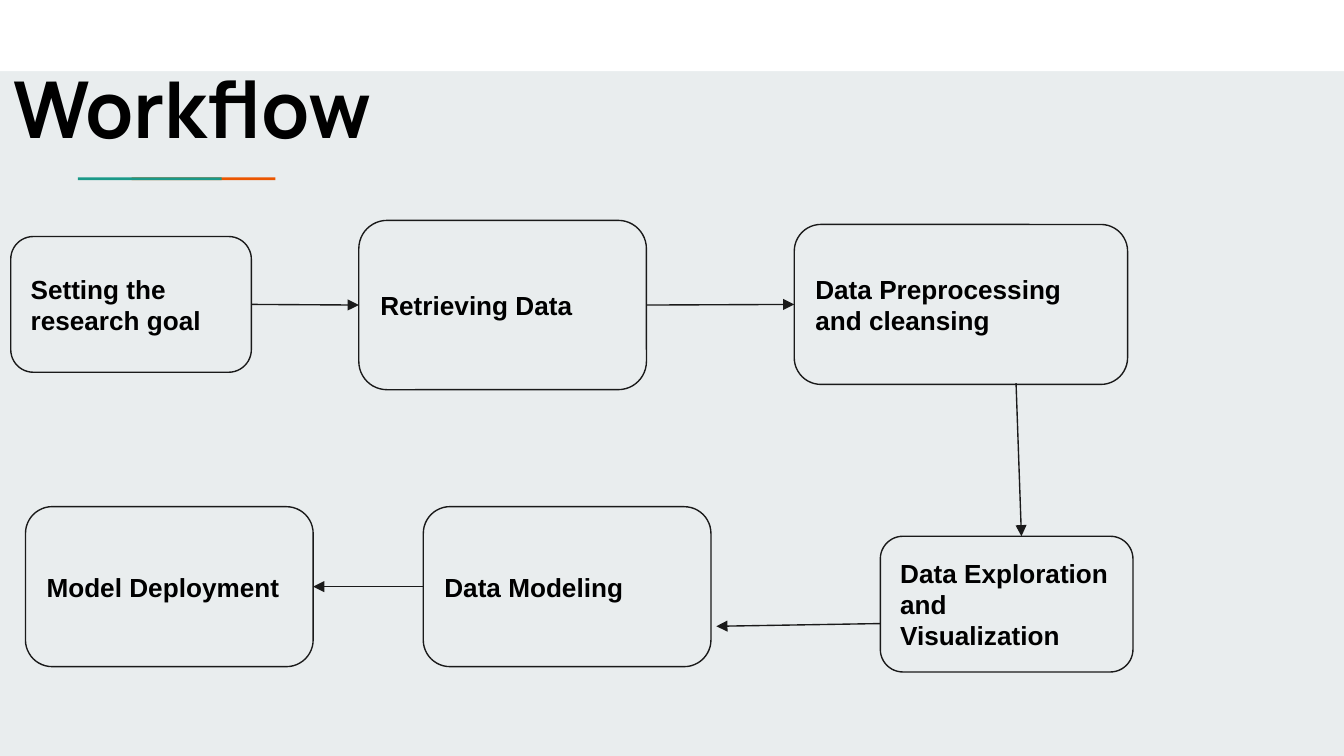
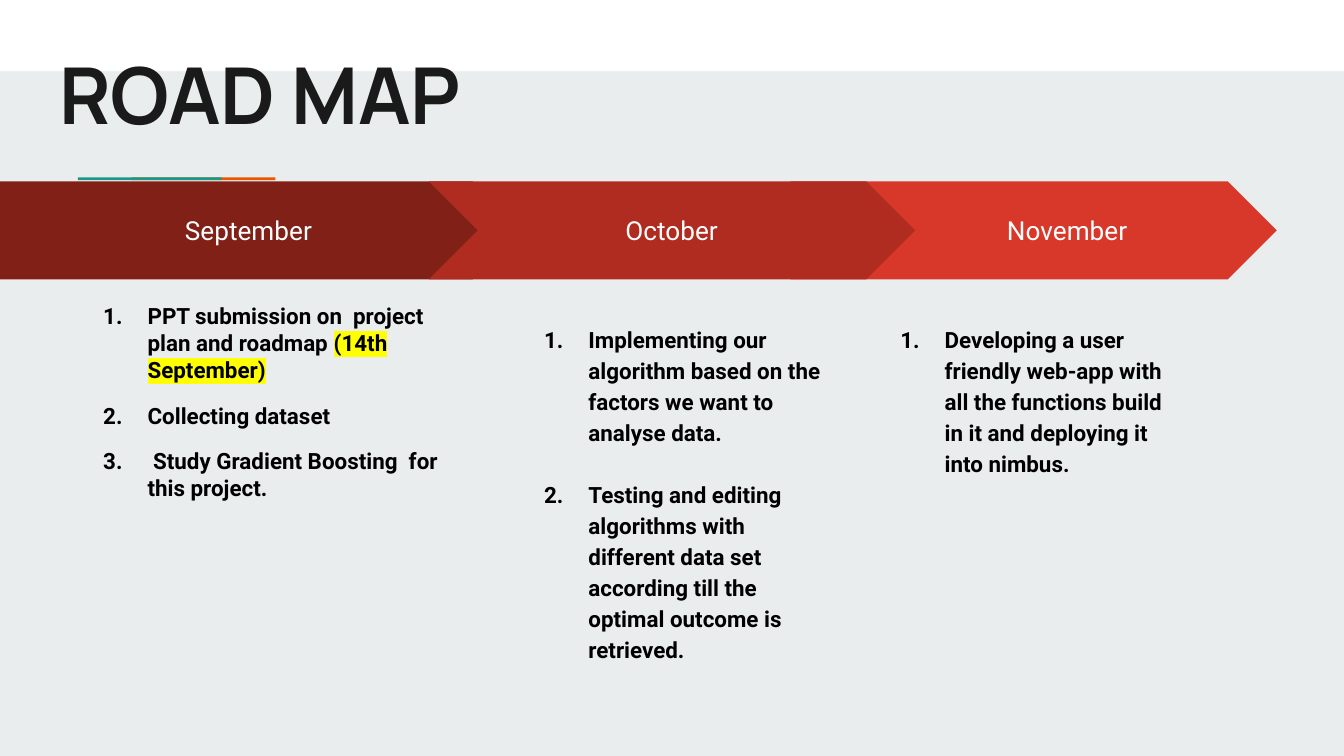
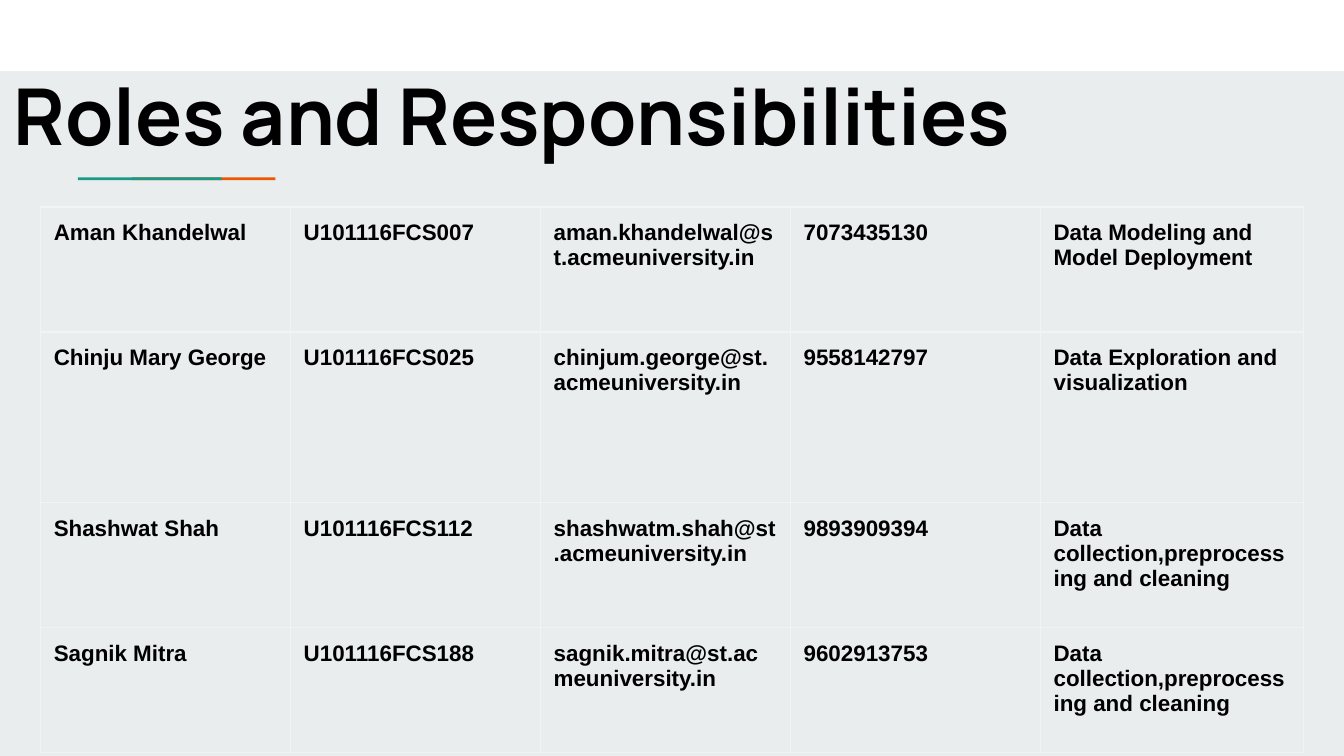
from lxml import etree
from pptx import Presentation
from pptx import util as u
from pptx.dml.color import RGBColor
from pptx.enum import shapes, text
from pptx.oxml.ns import qn

PX = u.Inches(1) // 100  # 100 px to the inch
BLACK = RGBColor(0x00, 0x00, 0x00)
INK = RGBColor(0x1A, 0x1A, 0x1A)
WHITE = RGBColor(0xFF, 0xFF, 0xFF)
MIST = RGBColor(0xE9, 0xED, 0xEE)
EDGE = RGBColor(0xF3, 0xF3, 0xF3)
TEAL = RGBColor(0x1A, 0x99, 0x88)
ORANGE = RGBColor(0xEB, 0x56, 0x00)
MAROON = RGBColor(0x80, 0x20, 0x17)
BRICK = RGBColor(0xB0, 0x2C, 0x20)
RED = RGBColor(0xD8, 0x38, 0x29)
YELLOW = RGBColor(0xFF, 0xFF, 0x00)
KIND = shapes.MSO_SHAPE


def write(para, words, size, font, color=BLACK, bold=True):
    run = para.add_run()
    run.text = words
    run.font.size = u.Pt(size)
    run.font.name = font
    run.font.bold = bold
    run.font.color.rgb = color
    return run


def draw(slide, kind, box, fill, line=None):
    shape = slide.shapes.add_shape(kind, *[n * PX for n in box])
    shape.shadow.inherit = False
    shape.fill.solid()
    shape.fill.fore_color.rgb = fill
    if line:
        shape.line.color.rgb = line
        shape.line.width = u.Pt(0.75)
    else:
        shape.line.fill.background()
    frame = shape.text_frame
    frame.margin_top = frame.margin_bottom = 10 * PX
    frame.vertical_anchor = text.MSO_ANCHOR.MIDDLE
    frame.paragraphs[0].alignment = text.PP_ALIGN.LEFT
    return shape


deck = Presentation()
deck.slide_width = 1000 * PX
deck.slide_height = deck.slide_width * 9 // 16
layout = deck.slide_layouts[5]

# Slides and their titles
titles = [
    ("Workflow", (0, 35, 408, 93), BLACK),
    ("ROAD MAP", (34, 24, 939, 111), INK),
    ("Roles and Responsibilities", (0, 40, 902, 147), BLACK),
]
for words, box, color in titles:
    title = deck.slides.add_slide(layout).shapes.title
    title.left, title.top, title.width, title.height = [n * PX for n in box]
    frame = title.text_frame
    frame.margin_top = frame.margin_bottom = 10 * PX
    frame.vertical_anchor = text.MSO_ANCHOR.TOP
    frame.auto_size = text.MSO_AUTO_SIZE.NONE
    frame.paragraphs[0].alignment = text.PP_ALIGN.LEFT
    write(frame.paragraphs[0], words, 42, "Manrope", color)
flow, road, roles = deck.slides

# Shared background, top band and accent rule, kept on the layout
fill = deck.slide_master.background.fill
fill.solid()
fill.fore_color.rgb = MIST
for holder in list(layout.placeholders)[1:]:
    holder.element.getparent().remove(holder.element)
for box, color in [
    ((0, 0, 1000, 53), WHITE),
    ((98, 132, 107, 2), ORANGE),
    ((58, 132, 107, 2), TEAL),
]:
    band = draw(flow, KIND.RECTANGLE, box, color)
    layout.element.cSld.spTree.append(band.element)

# Workflow: steps
ALT = KIND.FLOWCHART_ALTERNATE_PROCESS
steps = [
    ("goal", "Setting the research goal", ALT, (8, 176, 179, 101)),
    ("fetch", "Retrieving Data", ALT, (267, 164, 214, 126)),
    ("explore", "Data Exploration and Visualization", ALT, (655, 399, 188, 101)),
    ("model", "Data Modeling", ALT, (315, 377, 214, 119)),
    ("deploy", "Model Deployment", ALT, (19, 377, 214, 119)),
    ("clean", "Data Preprocessing and cleansing", KIND.ROUNDED_RECTANGLE,
     (591, 167, 248, 119)),
]
nodes = {}
for key, words, kind, box in steps:
    nodes[key] = draw(flow, kind, box, MIST, INK)
    write(nodes[key].text_frame.paragraphs[0], words, 14, "Arial")

# Workflow: arrows, joined where they end at the middle of a side
arrows = [
    ((481, 227, 591, 226), ("fetch", 3), ("clean", 1)),
    ((187, 226, 267, 227), ("goal", 3), ("fetch", 1)),
    ((655, 464, 533, 466), None, None),
    ((315, 437, 233, 437), ("model", 1), ("deploy", 3)),
    ((756, 285, 760, 399), None, None),
]
for ends, start, stop in arrows:
    arrow = flow.shapes.add_connector(
        shapes.MSO_CONNECTOR.STRAIGHT, *[n * PX for n in ends])
    if start:
        arrow.begin_connect(nodes[start[0]], start[1])
        arrow.end_connect(nodes[stop[0]], stop[1])
    arrow.line.color.rgb = INK
    arrow.line.width = u.Pt(0.75)
    props = arrow.element.spPr
    etree.SubElement(props.find(qn("a:ln")), qn("a:tailEnd"), type="triangle")
    etree.SubElement(props, qn("a:effectLst"))

# Road map: month, shape, left, width, colour, alignment, margin, indent
LEFT, MID = text.PP_ALIGN.LEFT, text.PP_ALIGN.CENTER
months = [
    ("November", KIND.CHEVRON, 588, 362, RED, MID, 50, 0),
    ("September", KIND.PENTAGON, 0, 388, MAROON, MID, 0, 0),
    ("October", KIND.CHEVRON, 319, 362, BRICK, LEFT, 50, 50),
]
for words, kind, left, width, color, align, margin, indent in months:
    month = draw(road, kind, (left, 135, width, 73), color)
    para = month.text_frame.paragraphs[0]
    para.alignment = align
    props = para._p.get_or_add_pPr()
    props.set("marL", str(margin * PX))
    props.set("indent", str(indent * PX))
    write(para, words, 14, "Roboto", WHITE, False)

# Road map: numbered tasks with box, line spacing and gap in points
tasks = [
    ((643, 230, 245, 286), 1.15, 0, [
        ["Developing a user friendly web-app with all the functions build in it "
         "and deploying it into nimbus."]]),
    ((50, 215, 293, 347), 1.0, 10, [
        ["PPT submission on  project plan and roadmap ", "(14th September)"],
        ["Collecting dataset"],
        [" Study Gradient Boosting  for this project."]]),
    ((378, 230, 245, 286), 1.15, 16.6, [
        ["Implementing our algorithm based on the factors we want to analyse data."],
        ["Testing and editing algorithms with different data set according till "
         "the optimal outcome is retrieved."]]),
]
for box, pitch, gap, items in tasks:
    frame = road.shapes.add_textbox(*[n * PX for n in box]).text_frame
    frame.word_wrap = True
    frame.margin_top = frame.margin_bottom = 10 * PX
    for i, parts in enumerate(items):
        para = frame.add_paragraph() if i else frame.paragraphs[0]
        para.line_spacing = pitch
        para.space_before = u.Pt(gap if i else 0)
        props = para._p.get_or_add_pPr()
        props.set("marL", str(50 * PX))
        props.set("indent", str(-33 * PX))
        tint = etree.SubElement(props, qn("a:buClr"))
        etree.SubElement(tint, qn("a:srgbClr"), val=str(BLACK))
        etree.SubElement(props, qn("a:buFont"), typeface="Roboto")
        etree.SubElement(props, qn("a:buAutoNum"), type="arabicPeriod")
        for j, words in enumerate(parts):
            run = write(para, words, 12, "Roboto")
            if j:  # the due date is highlighted
                mark = etree.Element(qn("a:highlight"))
                etree.SubElement(mark, qn("a:srgbClr"), val=str(YELLOW))
                run.font._element.find(qn("a:solidFill")).addnext(mark)

# Roles: table of people
HOST = "@st.acmeuniversity.in"
people = [
    ("Aman Khandelwal", "U101116FCS007", "aman.khandelwal" + HOST,
     "7073435130", "Data Modeling and Model Deployment"),
    ("Chinju Mary George", "U101116FCS025", "chinjum.george" + HOST,
     "9558142797", "Data Exploration and visualization"),
    ("Shashwat Shah", "U101116FCS112", "shashwatm.shah" + HOST,
     "9893909394", "Data collection,preprocessing and cleaning"),
    ("Sagnik Mitra", "U101116FCS188", "sagnik.mitra" + HOST,
     "9602913753", "Data collection,preprocessing and cleaning"),
]
wide = [186, 186, 186, 186, 196]
high = [93, 127, 93, 93]
table = roles.shapes.add_table(
    len(high), len(wide), 30 * PX, 154 * PX, sum(wide) * PX, sum(high) * PX).table
table.first_row = table.horz_banding = False
for col, width in zip(table.columns, wide):
    col.width = width * PX
for row, height, person in zip(table.rows, high, people):
    row.height = height * PX
    for cell, words in zip(row.cells, person):
        cell.margin_top = cell.margin_bottom = 10 * PX
        write(cell.text_frame.paragraphs[0], words, 12, "Arial")
        props = cell._tc.get_or_add_tcPr()
        for side in ("lnL", "lnR", "lnT", "lnB"):
            edge = etree.SubElement(props, qn("a:" + side), w=str(u.Pt(0.75)))
            paint = etree.SubElement(edge, qn("a:solidFill"))
            etree.SubElement(paint, qn("a:srgbClr"), val=str(EDGE))
        cell.fill.background()

deck.save("out.pptx")
